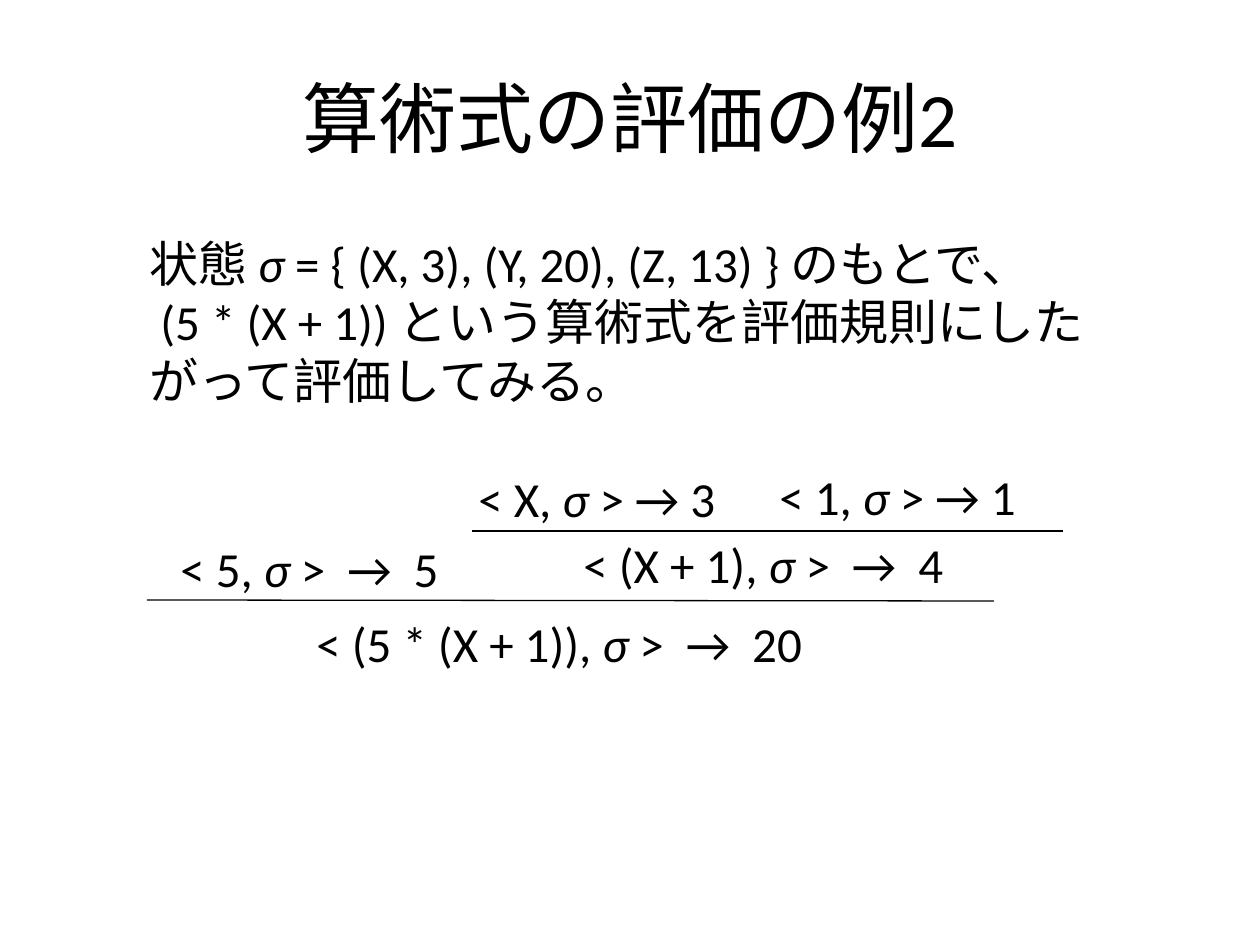
import pptx
import pptx.dml.color
import pptx.enum.shapes
import pptx.enum.text
import pptx.util
from lxml import etree

# Content: boxes are left, top, width, height in px
TITLE = ("算術式の評価の例2", (63, 38, 1134, 158))
INTRO_BOX = (137, 227, 984, 190)
INTRO = ["状態 σ = { (X, 3), (Y, 20), (Z, 13) } のもとで、",
         "(5 * (X + 1)) という算術式を評価規則にしたがって評価してみる。"]
WIDE_ARROW = " →"

# Derivation tree: expression, gap, result, box
JUDGEMENTS = [
    ("< (5 * (X + 1)), σ >", WIDE_ARROW, " 20", (304, 607, 537, 72)),
    ("< 5, σ >", WIDE_ARROW, " 5", (168, 532, 295, 72)),
    ("< X, σ > → 3", "", "", (466, 462, 273, 72)),
    ("< 1, σ > → 1", "", "", (767, 460, 272, 72)),
    ("< (X + 1), σ >", WIDE_ARROW, " 4", (571, 528, 398, 72)),
]
RULES = [(147, 600, 994, 601), (472, 531, 1063, 531)]

THEME = {"font": "Calibri", "title": 44, "body": 28, "line": 0.75,
         "ink": pptx.dml.color.RGBColor(0, 0, 0)}
SPACE_WIDTH = 6.3  # points, one space at body size


def px(value):
    return round(value * 914400 / 126)


deck = pptx.Presentation()
deck.slide_width, deck.slide_height = px(1260), px(945)
page = deck.slides.add_slide(deck.slide_layouts[6])


def add_box(place, wrap=True):
    box = page.shapes.add_textbox(*map(px, place))
    box.text_frame.word_wrap = wrap
    return box.text_frame


def style(para, size):
    para.font.name = THEME["font"]
    para.font.size = pptx.util.Pt(size)
    para.font.color.rgb = THEME["ink"]


def add_spans(para, text):
    """Add the text with every σ in italics."""
    before, sigma, after = text.partition("σ")
    for part in filter(None, (before, sigma, after)):
        span = para.add_run()
        span.text = part
        if part == "σ":
            span.font.italic = True


# Title
frame = add_box(TITLE[1])
frame.vertical_anchor = pptx.enum.text.MSO_ANCHOR.MIDDLE
para = frame.paragraphs[0]
para.alignment = pptx.enum.text.PP_ALIGN.CENTER
add_spans(para, TITLE[0])
style(para, THEME["title"])

# Introduction, second paragraph indented by one space
frame = add_box(INTRO_BOX)
for index, text in enumerate(INTRO):
    para = frame.add_paragraph() if index else frame.paragraphs[0]
    if index:
        para._p.get_or_add_pPr().set("indent", str(pptx.util.Pt(SPACE_WIDTH)))
    add_spans(para, text)
    style(para, THEME["body"])

# Judgements, with wider gaps around the long arrows
for expression, arrow, result, place in JUDGEMENTS:
    para = add_box(place, wrap=False).paragraphs[0]
    add_spans(para, expression)
    if arrow:
        span = para.add_run()
        span.text = arrow
        span._r.get_or_add_rPr().set("spc", str(round(SPACE_WIDTH * 100)))
        add_spans(para, result)
    style(para, THEME["body"])

# Inference rules
for ends in RULES:
    rule = page.shapes.add_connector(
        pptx.enum.shapes.MSO_CONNECTOR.STRAIGHT, *map(px, ends))
    rule.line.color.rgb = THEME["ink"]
    rule.line.width = pptx.util.Pt(THEME["line"])
    etree.SubElement(rule._element.spPr, pptx.oxml.ns.qn("a:effectLst"))

deck.save("out.pptx")
